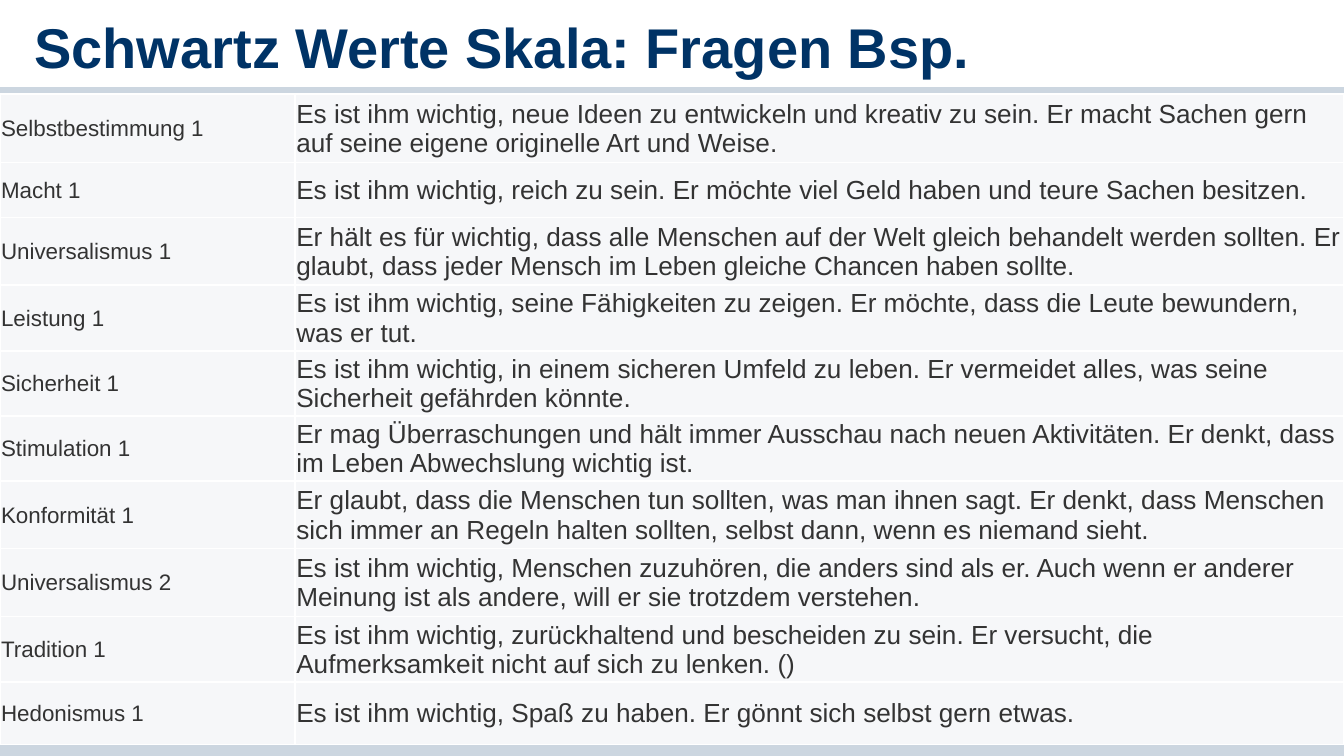
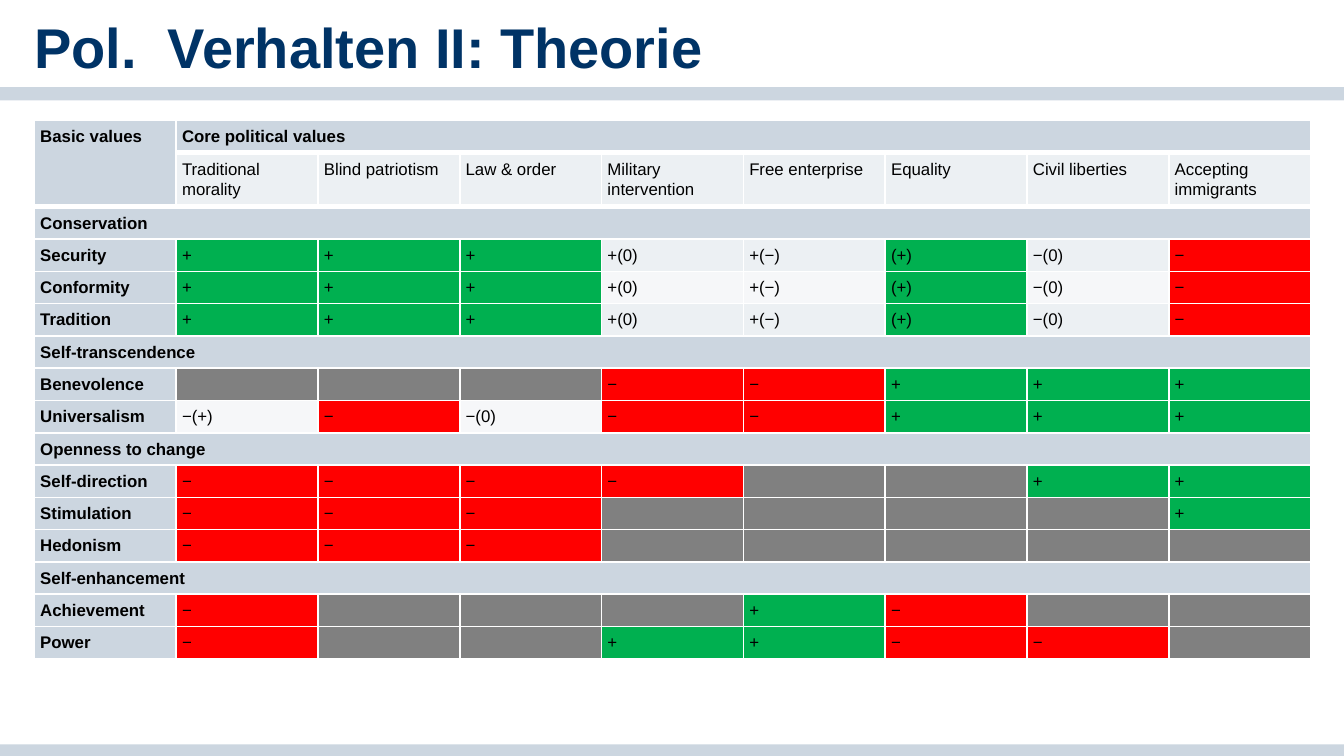
from lxml import etree
from pptx import Presentation
from pptx import util as u
from pptx.dml import color as dml
from pptx.enum import shapes, text
from pptx.oxml import ns

COLORS = {
    "white": "FFFFFF",
    "band": "CCD6E0",
    "title": "003366",
    "body": "333333",
    "black": "000000",
    "light": "F6F7F9",
    "shade": "ECF0F3",
    "positive": "00B050",
    "negative": "FF0000",
    "none": "808080",
}
FONT = "Arial"
WIDTH, HEIGHT = 25.4, 14.29

QUESTIONS = [
    ("Selbstbestimmung 1", 1.29, "Es ist ihm wichtig, neue Ideen zu entwickeln und kreativ zu sein. "
     "Er macht Sachen gern auf seine eigene originelle Art und Weise."),
    ("Macht 1", 1.04, "Es ist ihm wichtig, reich zu sein. "
     "Er möchte viel Geld haben und teure Sachen besitzen."),
    ("Universalismus 1", 1.28, "Er hält es für wichtig, dass alle Menschen auf der Welt gleich behandelt "
     "werden sollten. Er glaubt, dass jeder Mensch im Leben gleiche Chancen haben sollte."),
    ("Leistung 1", 1.24, "Es ist ihm wichtig, seine Fähigkeiten zu zeigen. "
     "Er möchte, dass die Leute bewundern, was er tut."),
    ("Sicherheit 1", 1.23, "Es ist ihm wichtig, in einem sicheren Umfeld zu leben. "
     "Er vermeidet alles, was seine Sicherheit gefährden könnte."),
    ("Stimulation 1", 1.23, "Er mag Überraschungen und hält immer Ausschau nach neuen Aktivitäten. "
     "Er denkt, dass im Leben Abwechslung wichtig ist."),
    ("Konformität 1", 1.28, "Er glaubt, dass die Menschen tun sollten, was man ihnen sagt. Er denkt, dass "
     "Menschen sich immer an Regeln halten sollten, selbst dann, wenn es niemand sieht."),
    ("Universalismus 2", 1.28, "Es ist ihm wichtig, Menschen zuzuhören, die anders sind als er. Auch wenn er "
     "anderer Meinung ist als andere, will er sie trotzdem verstehen."),
    ("Tradition 1", 1.24, "Es ist ihm wichtig, zurückhaltend und bescheiden zu sein. "
     "Er versucht, die Aufmerksamkeit nicht auf sich zu lenken. ()"),
    ("Hedonismus 1", 1.18, "Es ist ihm wichtig, Spaß zu haben. Er gönnt sich selbst gern etwas."),
]

VALUES = [
    "Basic values|Core political values",
    "|Traditional morality|Blind patriotism|Law & order|Military intervention"
    "|Free enterprise|Equality|Civil liberties|Accepting immigrants",
    "Conservation",
    "Security|+|+|+|+(0)|+(−)|(+)|−(0)|−",
    "Conformity|+|+|+|+(0)|+(−)|(+)|−(0)|−",
    "Tradition|+|+|+|+(0)|+(−)|(+)|−(0)|−",
    "Self-transcendence",
    "Benevolence||||−|−|+|+|+",
    "Universalism|−(+)|−|−(0)|−|−|+|+|+",
    "Openness to change",
    "Self-direction|−|−|−|−|||+|+",
    "Stimulation|−|−|−|||||+",
    "Hedonism|−|−|−|||||",
    "Self-enhancement",
    "Achievement|−||||+|−||",
    "Power|−|||+|+|−|−|",
]
SIGN_FILLS = {"": "none", "+": "positive", "(+)": "positive", "−": "negative"}


def rgb(name):
    return dml.RGBColor.from_string(COLORS[name])


def write_text(frame, content, *, size, color, bold=False, line_spacing=None):
    paragraph = frame.paragraphs[0]
    if line_spacing:
        paragraph.line_spacing = line_spacing
    if not content:
        end = etree.SubElement(paragraph._p, ns.qn("a:endParaRPr"))
        end.set("sz", str(size * 100))
        return
    run = paragraph.add_run()
    run.text = content
    run.font.name = FONT
    run.font.size = u.Pt(size)
    run.font.bold = bold
    run.font.color.rgb = rgb(color)


class Deck:
    def __init__(self):
        self.presentation = Presentation()
        self.presentation.slide_width = u.Cm(WIDTH)
        self.presentation.slide_height = u.Cm(HEIGHT)
        self.slide = None

    def add_slide(self, title):
        self.slide = self.presentation.slides.add_slide(self.presentation.slide_layouts[6])
        self.add_band(14.07)
        self.add_band(1.65)
        self.add_title(title)

    def add_band(self, top):
        band = self.slide.shapes.add_shape(
            shapes.MSO_SHAPE.RECTANGLE, 0, u.Cm(top), u.Cm(WIDTH), u.Cm(0.25))
        band.shadow.inherit = False
        band.fill.solid()
        band.fill.fore_color.rgb = rgb("band")
        band.line.fill.background()

    def add_title(self, title):
        box = self.slide.shapes.add_textbox(u.Cm(0.65), u.Cm(0.2), u.Cm(17.93), u.Cm(1.2))
        frame = box.text_frame
        frame.word_wrap = True
        frame.margin_left = frame.margin_right = frame.margin_bottom = 0
        frame.margin_top = u.Cm(0.03)
        write_text(frame, title, size=30, color="title", bold=True)

    def add_table(self, left, top, widths, heights):
        table = self.slide.shapes.add_table(
            len(heights), len(widths), u.Cm(left), u.Cm(top),
            u.Cm(sum(widths)), u.Cm(sum(heights))).table
        table.first_row = table.horz_banding = False
        for column, width in zip(table.columns, widths):
            column.width = u.Cm(width)
        for row, height in zip(table.rows, heights):
            row.height = u.Cm(height)
        return table

    def fill_cell(self, cell, content, *, fill, margin, bottom_margin, bottom_line=1,
                  anchor=text.MSO_ANCHOR.TOP, **text_format):
        cell.margin_left = cell.margin_right = cell.margin_top = u.Cm(margin)
        cell.margin_bottom = u.Cm(bottom_margin)
        cell.vertical_anchor = anchor
        self.add_borders(cell, bottom_line)
        cell.fill.solid()
        cell.fill.fore_color.rgb = rgb(fill)
        write_text(cell.text_frame, content, **text_format)

    def add_borders(self, cell, bottom_line):
        properties = cell._tc.get_or_add_tcPr()
        for side, width in (("L", 1), ("R", 1), ("T", 1), ("B", bottom_line)):
            line = etree.SubElement(properties, ns.qn(f"a:ln{side}"), w=str(u.Pt(width)))
            solid = etree.SubElement(line, ns.qn("a:solidFill"))
            etree.SubElement(solid, ns.qn("a:srgbClr"), val=COLORS["white"])


def build_questions(deck):
    deck.add_slide("Schwartz Werte Skala: Fragen Bsp.")
    heights = [height for _, height, _ in QUESTIONS]
    table = deck.add_table(0, 1.78, [5.58, 19.82], heights)
    for row, (value, _, question) in enumerate(QUESTIONS):
        for column, (content, size) in enumerate(((value, 12), (question, 14))):
            deck.fill_cell(table.cell(row, column), content, fill="light", margin=0.02,
                           bottom_margin=0, anchor=text.MSO_ANCHOR.MIDDLE,
                           size=size, color="body")


def build_theory(deck):
    deck.add_slide("Pol.  Verhalten II: Theorie")
    columns = 9
    heights = [1.02 if row == 1 else 0.61 for row in range(len(VALUES))]
    table = deck.add_table(0.65, 2.28, [2.68] * columns, heights)
    table.cell(0, 0).merge(table.cell(1, 0))
    table.cell(0, 1).merge(table.cell(0, columns - 1))
    for row, line in enumerate(VALUES):
        entries = line.split("|")
        if len(entries) == 1:
            table.cell(row, 0).merge(table.cell(row, columns - 1))
        entries += [""] * (columns - len(entries))
        for column, content in enumerate(entries):
            cell = table.cell(row, column)
            heading = column == 0 or row == 0 or cell.is_spanned
            stripe = "shade" if row % 2 else "light"
            deck.fill_cell(cell, content, margin=0.11, bottom_margin=0.07,
                           fill="band" if heading else SIGN_FILLS.get(content, stripe),
                           bottom_line=3 if row == 0 else 1,
                           size=9, color="black", bold=heading, line_spacing=1.07)


def main():
    deck = Deck()
    build_questions(deck)
    build_theory(deck)
    deck.presentation.save("out.pptx")


if __name__ == "__main__":
    main()
